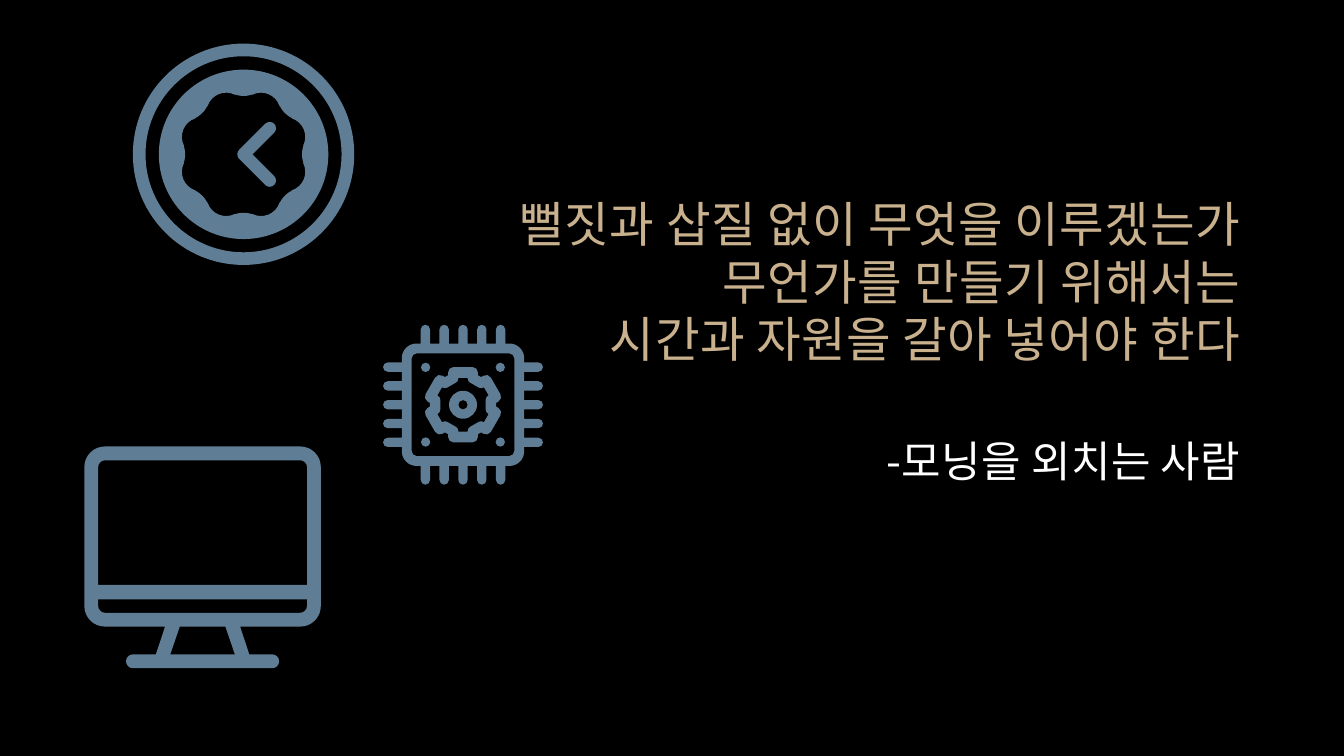
from math import acos, cos, dist, pi, radians, sin, tan

from lxml import etree
from pptx import Presentation
from pptx.dml.color import RGBColor
from pptx.enum.text import MSO_ANCHOR, PP_ALIGN
from pptx.oxml.ns import qn
from pptx.util import Pt

TOP, MIDDLE = MSO_ANCHOR.TOP, MSO_ANCHOR.MIDDLE
RIGHT = PP_ALIGN.RIGHT

FONT = "Noto Sans CJK KR"
BLACK, WHITE, SAND, STEEL = "000000", "FFFFFF", "C9B18E", "5F7D95"


def color(value):
    return RGBColor.from_string(value)


def turn(center, degrees, corners):
    angle = radians(degrees)
    return [(center[0] + x * cos(angle) + y * sin(angle),
             center[1] + x * sin(angle) - y * cos(angle), radius)
            for x, y, radius in corners]


def spin(center, count, corners):
    return [corner for index in range(count)
            for corner in turn(center, index * 360 / count, corners)]


def circle(center, radius):
    return spin(center, 4, [(radius, radius, radius)])


def toward(start, end, length):
    share = length / dist(start, end)
    return tuple(a + (b - a) * share for a, b in zip(start, end))


def trace(corners):
    steps = []
    for index, (x, y, radius) in enumerate(corners):
        point = (x, y)
        before = corners[index - 1][:2]
        after = corners[(index + 1) % len(corners)][:2]
        enter, leave = toward(point, before, radius), toward(point, after, radius)
        steps.append([enter])
        if radius:
            a, b = toward(point, before, 1), toward(point, after, 1)
            cosine = sum((p - o) * (q - o) for p, q, o in zip(a, b, point))
            bend = pi - acos(max(-1, min(1, cosine)))
            handle = radius * 4 / 3 * tan(bend / 4) / tan(bend / 2)
            steps.append([toward(enter, point, handle), toward(leave, point, handle), leave])
    return steps


def find_bounds(contours):
    points = []
    for steps in contours:
        for step in steps:
            if len(step) == 3:
                a, b, c, d = points[-1], *step
                points.append(tuple((p + 3 * q + 3 * r + s) / 8 for p, q, r, s in zip(a, b, c, d)))
            points.append(step[-1])
    across, down = zip(*points)
    return min(across), min(down), max(across), max(down)


def add_outline(page, *outlines):
    contours = [trace(corners) for corners in outlines]
    left, top, right, bottom = find_bounds(contours)
    builder = page.shapes.build_freeform(Pt(left), Pt(top))
    builder.add_line_segments([(Pt(right), Pt(top)), (Pt(right), Pt(bottom)), (Pt(left), Pt(bottom))])
    shape = builder.convert_to_shape()
    shape.shadow.inherit = False
    shape.fill.solid()
    shape.fill.fore_color.rgb = color(STEEL)
    shape.line.fill.background()
    route = next(shape._element.iter(qn("a:path")))
    for child in list(route):
        route.remove(child)
    for steps in contours:
        for index, step in enumerate(steps):
            tag = "a:moveTo" if index == 0 else "a:cubicBezTo" if len(step) == 3 else "a:lnTo"
            node = etree.SubElement(route, qn(tag))
            for x, y in step:
                etree.SubElement(node, qn("a:pt"), x=str(Pt(x - left)), y=str(Pt(y - top)))
        etree.SubElement(route, qn("a:close"))


def draw_clock(page, box):
    left, top, size = box
    half = 3.4
    center = (left + size / 2, top + size / 2)
    add_outline(page, circle(center, size / 2), circle(center, size / 2 - 2 * half))
    hands = [(4.8, 0, 0), (18.8, 14, half), (14, 18.8, half),
             (-4.8, 0, half), (14, -18.8, half), (18.8, -14, half)]
    add_outline(page, turn(center, 0, hands))
    rim, tip, sweep = 38.6, 31.3, radians(17.45)
    reach = rim / cos(sweep)
    bend = radians(22.5)
    marks = [(-half, tip, half), (half, tip, half),
             (reach * sin(bend), reach * cos(bend), rim * tan(sweep))]
    add_outline(page, circle(center, rim + 2 * half), spin(center, 8, marks))


def draw_monitor(page, box):
    left, top, wide, high = box
    edge, floor = 7.4, 96.5
    foot = high - edge
    half = wide / 2
    center = (left + half, top)

    def mirror(corners):
        both = corners + [(-x, y, radius) for x, y, radius in reversed(corners)]
        return turn(center, 0, [(x, -y, radius) for x, y, radius in both])

    inner = half - edge
    add_outline(
        page,
        mirror([(half, 0, 11), (half, floor, 11), (20.1, floor, 0), (25, foot, 0),
                (41, foot, 3.69), (41, high, 3.69)]),
        mirror([(inner, edge, 3.7), (inner, 74.2, 0)]),
        mirror([(inner, 82, 0), (inner, floor - edge, 3.7)]),
        mirror([(12.2, floor, 0), (17.3, foot, 0)]))


def draw_chip(page, box):
    left, top, size = box
    half, body = 2.5, 32.8
    center = (left + size / 2, top + size / 2)
    side = []
    for index in range(5):
        offset = (index - 2) * 10.08
        side += [(offset - half, body, 0), (offset - half, size / 2, half),
                 (offset + half, size / 2, half), (offset + half, body, 0)]
    side.append((body, body, 7.9))
    add_outline(page, spin(center, 4, side), spin(center, 4, [(27.5, 27.5, 2.7)]))
    for x, y in ((-20, -20), (-20, 20), (20, 20), (20, -20)):
        add_outline(page, circle((center[0] + x, center[1] + y), half))
    tooth = [(-8, 15.8, 0), (-8, 20.2, 2.9), (8, 20.2, 2.9), (8, 15.8, 0)]
    notch = [(-2.5, 12.6, 1.5), (-2.5, 14.4, 0), (2.5, 14.4, 0), (2.5, 12.6, 1.5)]
    add_outline(page, spin(center, 6, tooth), spin(center, 6, notch))
    add_outline(page, circle(center, 7.5), circle(center, half))


def write_text(page, box, lines, size, ink, anchor, inset, spacing=None):
    frame = page.shapes.add_textbox(*map(Pt, box)).text_frame
    layout = {"word_wrap": True, "vertical_anchor": anchor, "margin_left": Pt(7.2),
              "margin_right": Pt(7.2), "margin_top": Pt(inset), "margin_bottom": Pt(7.2)}
    for name, value in layout.items():
        setattr(frame, name, value)
    for index, line in enumerate(lines):
        para = frame.paragraphs[0] if index == 0 else frame.add_paragraph()
        para.alignment = RIGHT
        if spacing:
            para.line_spacing = Pt(spacing)
        span = para.add_run()
        span.text = line
        span.font.color.rgb = color(ink)
        for name, value in {"size": Pt(size), "name": FONT}.items():
            setattr(span.font, name, value)
        letters = span._r.get_or_add_rPr()
        letters.set("spc", "20")
        etree.SubElement(letters, qn("a:ea"), typeface=FONT)


def draw_speaker(page, box):
    write_text(page, box, ["-모닝을 외치는 사람"], 23, WHITE, MIDDLE, 7.2)


def draw_quote(page, box):
    lines = ["뻘짓과 삽질 없이 무엇을 이루겠는가", "무언가를 만들기 위해서는", "시간과 자원을 갈아 넣어야 한다"]
    write_text(page, box, lines, 26, SAND, TOP, 7.8, 30.8)


def main():
    deck = Presentation()
    deck.slide_width, deck.slide_height = Pt(720), Pt(405)
    page = deck.slides.add_slide(deck.slide_layouts[6])
    page.background.fill.solid()
    page.background.fill.fore_color.rgb = color(BLACK)
    draw_speaker(page, (381.6, 229.7, 290.2, 33.8))
    draw_clock(page, (71.2, 23.4, 118.6))
    draw_monitor(page, (45.2, 239.2, 126.7, 118.8))
    draw_chip(page, (205.2, 174, 85.7))
    draw_quote(page, (241.9, 96.5, 429.9, 150.5))
    deck.save("out.pptx")


if __name__ == "__main__":
    main()
